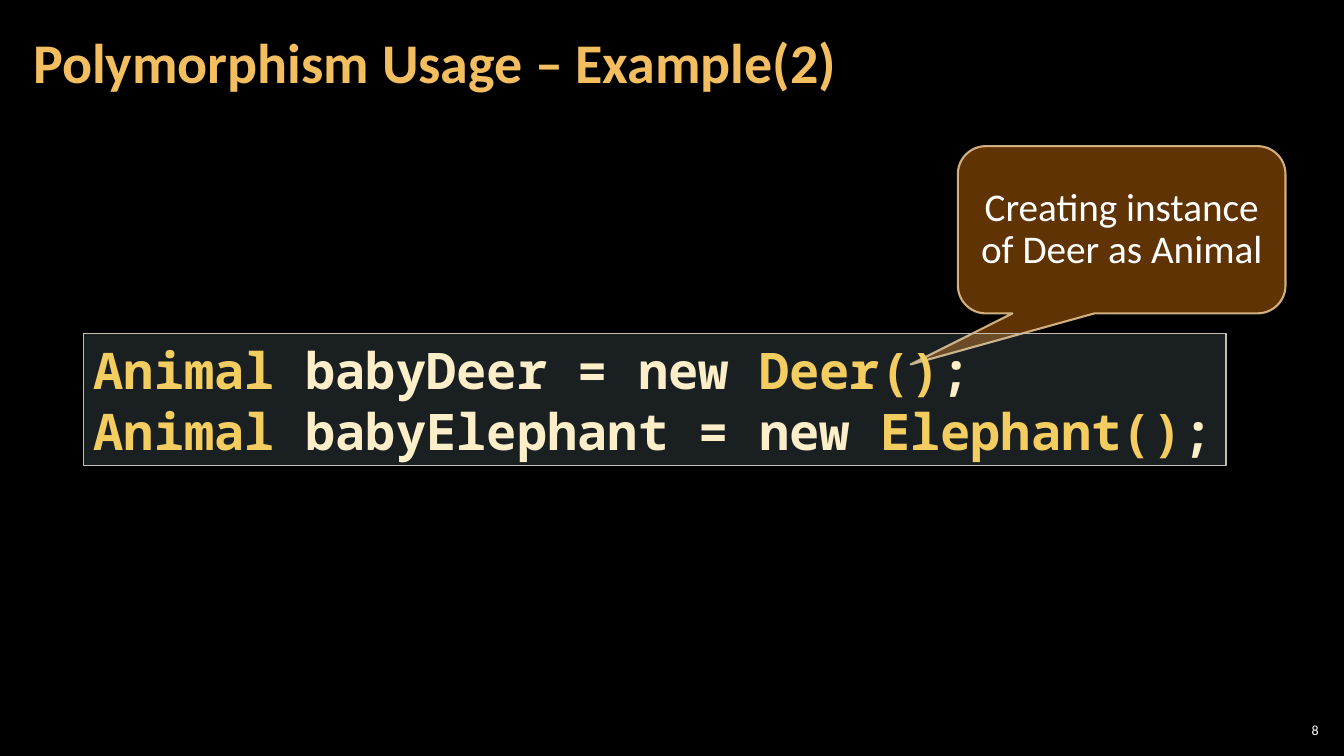
from dataclasses import dataclass

from lxml import etree
from pptx import Presentation
from pptx.dml.color import RGBColor
from pptx.enum.shapes import MSO_SHAPE
from pptx.enum.text import MSO_ANCHOR, PP_ALIGN
from pptx.oxml.ns import qn
from pptx.util import Inches, Pt

RECTANGLE = MSO_SHAPE.RECTANGLE
CALLOUT = MSO_SHAPE.ROUNDED_RECTANGULAR_CALLOUT
MIDDLE = MSO_ANCHOR.MIDDLE
LEFT, CENTER, RIGHT = PP_ALIGN.LEFT, PP_ALIGN.CENTER, PP_ALIGN.RIGHT

SANS, MONO = "Calibri", "Noto Sans Mono"
BLACK, WHITE = "000000", "FFFFFF"
TITLE_GOLD, TYPE_GOLD, CODE_CREAM = "F3BE60", "F3CD60", "FBEEC9"


@dataclass(frozen=True)
class Span:
    text: str
    color: str


@dataclass(frozen=True)
class TextStyle:
    font: str
    size: float
    bold: bool = False
    align: PP_ALIGN = LEFT
    line_spacing: float | Pt | None = None
    inset_x: float = 0.1
    inset_y: float = 0.05


@dataclass(frozen=True)
class Area:
    left: float
    top: float
    width: float
    height: float

    def lengths(self) -> tuple:
        return tuple(map(Inches, (self.left, self.top, self.width, self.height)))


@dataclass(frozen=True)
class Panel:
    preset: MSO_SHAPE
    area: Area
    fill: str
    fill_opacity: int
    line: str
    line_width: float
    line_opacity: int = 100
    adjustments: tuple[float, ...] = ()


def rgb(color: str) -> RGBColor:
    return RGBColor.from_string(color)


def set_opacity(fill, shape, color: str, percent: int) -> None:
    """Paint a solid fill, of the shape or of its line, with the given opacity."""
    fill.solid()
    fill.fore_color.rgb = rgb(color)
    properties = shape._element.spPr
    parent = properties if fill is shape.fill else properties.find(qn("a:ln"))
    swatch = parent.find(qn("a:solidFill")).find(qn("a:srgbClr"))
    etree.SubElement(swatch, qn("a:alpha")).set("val", str(percent * 1000))


def write(shape, lines: list[list[Span]], style: TextStyle) -> None:
    frame = shape.text_frame
    frame.word_wrap = True
    frame.vertical_anchor = MIDDLE
    frame.margin_left = frame.margin_right = Inches(style.inset_x)
    frame.margin_top = frame.margin_bottom = Inches(style.inset_y)
    for index, line in enumerate(lines):
        para = frame.add_paragraph() if index else frame.paragraphs[0]
        para.alignment = style.align
        para.line_spacing = style.line_spacing
        for span in line:
            run = para.add_run()
            run.text = span.text
            run.font.name = style.font
            run.font.size = Pt(style.size)
            run.font.bold = style.bold
            run.font.color.rgb = rgb(span.color)


def add_text(page, area: Area, span: Span, style: TextStyle) -> None:
    write(page.shapes.add_textbox(*area.lengths()), [[span]], style)


def add_panel(page, panel: Panel, lines: list[list[Span]], style: TextStyle) -> None:
    shape = page.shapes.add_shape(panel.preset, *panel.area.lengths())
    shape.shadow.inherit = False
    for index, value in enumerate(panel.adjustments):
        shape.adjustments[index] = value
    set_opacity(shape.fill, shape, panel.fill, panel.fill_opacity)
    shape.line.width = Pt(panel.line_width)
    set_opacity(shape.line.fill, shape, panel.line, panel.line_opacity)
    write(shape, lines, style)


def code_line(variable: str, class_name: str) -> list[Span]:
    return [
        Span("Animal", TYPE_GOLD),
        Span(f" {variable} = new ", CODE_CREAM),
        Span(f"{class_name}()", TYPE_GOLD),
        Span(";", CODE_CREAM),
    ]


def main() -> None:
    deck = Presentation()
    deck.slide_width, deck.slide_height = Inches(13.33), Inches(7.5)
    page = deck.slides.add_slide(deck.slide_layouts[6])
    page.background.fill.solid()
    page.background.fill.fore_color.rgb = rgb(BLACK)

    add_text(page, Area(12.65, 7.14, 0.47, 0.21), Span("8", WHITE),
             TextStyle(SANS, 10, align=RIGHT, inset_x=0.04, inset_y=0.04))
    add_text(page, Area(0.21, 0.04, 10.47, 1.21),
             Span("Polymorphism Usage – Example(2)", TITLE_GOLD),
             TextStyle(SANS, 40, bold=True, line_spacing=0.9, inset_x=0.12, inset_y=0.04))

    callout = Panel(CALLOUT, Area(9.5, 1.45, 3.25, 1.66), "663606", 95,
                    "F8D49E", 1.5, 80, (-0.644, 0.805, 0.167))
    add_panel(page, callout, [[Span("Creating instance of Deer as Animal", WHITE)]],
              TextStyle(SANS, 28, align=CENTER, line_spacing=Pt(30)))

    code_box = Panel(RECTANGLE, Area(0.83, 3.31, 11.33, 1.31), "B5DBE5", 15, "C7BFAC", 1)
    add_panel(page, code_box,
              [code_line("babyDeer", "Deer"), code_line("babyElephant", "Elephant")],
              TextStyle(MONO, 36, bold=True))

    deck.save("out.pptx")


if __name__ == "__main__":
    main()
